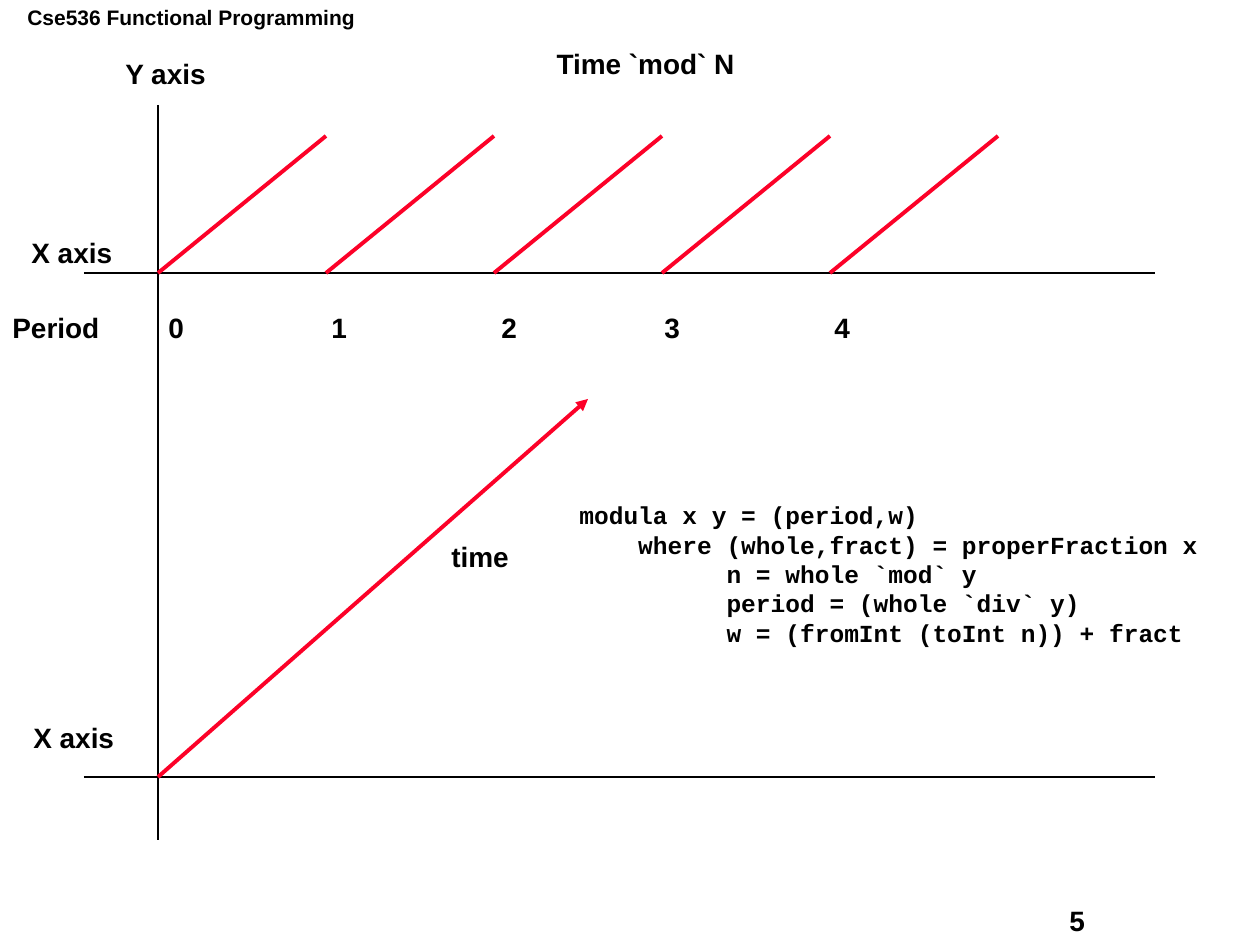
from lxml.etree import SubElement
from pptx import Presentation
from pptx.dml.color import RGBColor
from pptx.enum.shapes import MSO_CONNECTOR as CONNECTOR
from pptx.enum.text import MSO_ANCHOR as ANCHOR, MSO_AUTO_SIZE as AUTO_SIZE, PP_ALIGN as ALIGN
from pptx.oxml.ns import qn
from pptx.util import Emu, Pt

EMU_PER_INCH = 914400
PX_PER_INCH = 126
BLACK = "000000"
RED = "FC0128"
LABEL = {"name": "Arial", "size": Pt(16), "bold": True}
HEADER = {**LABEL, "size": Pt(12)}
CODE = {"name": "Courier New", "size": Pt(14), "bold": True}

AXIS_X = 158
UPPER_Y, LOWER_Y = 273, 777
PERIOD_WIDTH, WAVE_TOP = 168, 136
PERIOD_TABS = [156, 319, 489, 652, 822]

CODE_LINES = [
    "modula x y = (period,w)",
    "    where (whole,fract) = properFraction x",
    "          n = whole `mod` y",
    "          period = (whole `div` y)",
    "          w = (fromInt (toInt n)) + fract",
]


def px(length):
    return Emu(round(length * EMU_PER_INCH / PX_PER_INCH))


def color(hex_value):
    return RGBColor.from_string(hex_value)


def set_tabs(paragraph, stops):
    tab_list = SubElement(paragraph._p.get_or_add_pPr(), qn("a:tabLst"))
    for stop in stops:
        SubElement(tab_list, qn("a:tab"), pos=str(px(stop)), algn="l")


def fill_text(shape, lines, style, wrap=False, tabs=()):
    frame = shape.text_frame
    frame.word_wrap = wrap
    frame.auto_size = AUTO_SIZE.NONE
    frame.vertical_anchor = ANCHOR.TOP
    for index, line in enumerate(lines):
        paragraph = frame.add_paragraph() if index else frame.paragraphs[0]
        paragraph.alignment = ALIGN.LEFT
        if tabs:
            set_tabs(paragraph, tabs)
        run = paragraph.add_run()
        run.text = line
        for name, value in style.items():
            setattr(run.font, name, value)
        run.font.color.rgb = color(BLACK)


def add_title(slide, text, box):
    title = slide.shapes.title
    title.left, title.top, title.width, title.height = map(px, box)
    fill_text(title, [text], LABEL, wrap=True)


def add_text(slide, lines, box, style=LABEL, wrap=False, tabs=()):
    shape = slide.shapes.add_textbox(*map(px, box))
    fill_text(shape, lines, style, wrap, tabs)


def add_line(slide, start, end, hex_value=BLACK, width=1, arrow=False):
    line = slide.shapes.add_connector(CONNECTOR.STRAIGHT, *map(px, (*start, *end)))
    line.line.color.rgb = color(hex_value)
    line.line.width = Pt(width)
    if arrow:
        SubElement(line.line._get_or_add_ln(), qn("a:tailEnd"), type="triangle")
    SubElement(line._element.spPr, qn("a:effectLst"))


def add_axes(slide):
    add_line(slide, (AXIS_X, 105), (AXIS_X, 840))
    for y in (UPPER_Y, LOWER_Y):
        add_line(slide, (84, y), (1155, y))


def add_waves(slide):
    for period in range(len(PERIOD_TABS)):
        left = AXIS_X + period * PERIOD_WIDTH
        add_line(slide, (left, UPPER_Y), (left + PERIOD_WIDTH, WAVE_TOP), RED, 2.25)


def main():
    presentation = Presentation()
    presentation.slide_width = px(1260)
    presentation.slide_height = px(945)
    slide = presentation.slides.add_slide(presentation.slide_layouts[5])

    add_title(slide, "Time `mod` N", (544, 40, 220, 47))
    add_text(slide, ["Cse536 Functional Programming"], (15, -2, 353, 38), HEADER)
    add_text(slide, ["5"], (1057, 897, 160, 45), wrap=True)

    add_axes(slide)
    add_line(slide, (AXIS_X, LOWER_Y), (588, 399), RED, 2.25, arrow=True)
    add_waves(slide)

    add_text(slide, ["Y axis"], (113, 50, 106, 47))
    add_text(slide, ["X axis"], (19, 229, 106, 47))
    add_text(slide, ["X axis"], (21, 714, 106, 47))
    add_text(slide, ["time"], (439, 533, 82, 47))
    periods = "\t".join(["Period", *map(str, range(len(PERIOD_TABS)))])
    add_text(slide, [periods], (0, 304, 1103, 47), wrap=True, tabs=PERIOD_TABS)
    add_text(slide, CODE_LINES, (567, 494, 651, 206), CODE, wrap=True)

    presentation.save("out.pptx")


if __name__ == "__main__":
    main()
